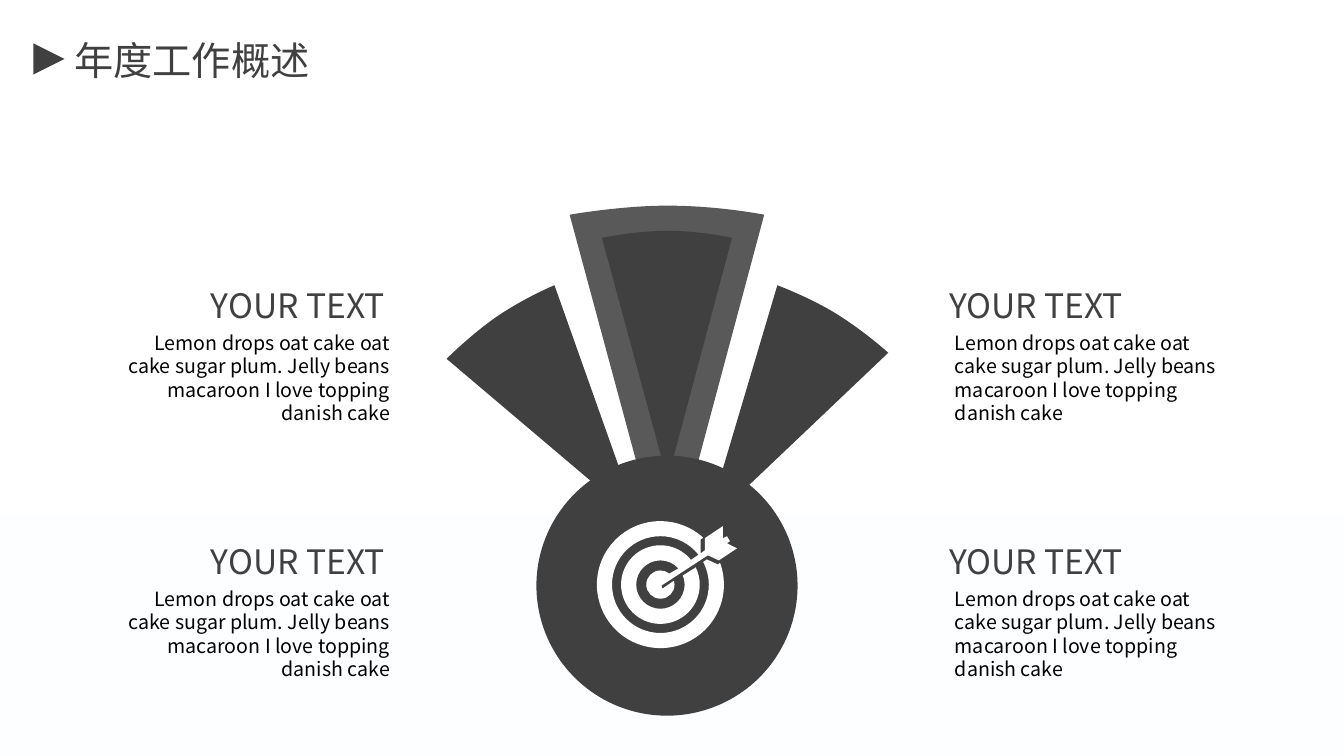
import copy
import math
import pptx
import pptx.util
import pptx.dml.color
import pptx.enum.shapes
import pptx.enum.text
import pptx.oxml
import pptx.oxml.ns

Inches = pptx.util.Inches
Pt = pptx.util.Pt
qn = pptx.oxml.ns.qn
MSO_SHAPE = pptx.enum.shapes.MSO_SHAPE
MSO_AUTO_SIZE = pptx.enum.text.MSO_AUTO_SIZE
PP_ALIGN = pptx.enum.text.PP_ALIGN
FONT = "Noto Sans CJK SC"
NS = pptx.oxml.ns.nsdecls("a")
DARK = "404040"


def paint(sp, color):
    sp.shadow.inherit = False
    sp.fill.solid()
    sp.fill.fore_color.rgb = pptx.dml.color.RGBColor.from_string(color)
    sp.line.fill.background()


def add_text(box, text, size, color, align, frame, spacing=None):
    sp = s.shapes.add_textbox(*[Inches(v) for v in box])
    tf = sp.text_frame
    tf.word_wrap = True
    for name, value in frame.items():
        setattr(tf, name, value)
    p = tf.paragraphs[0]
    for name, value in {"alignment": align, "line_spacing": spacing}.items():
        setattr(p, name, value)
    r = p.add_run()
    r.text = text
    for name, value in {"name": FONT, "size": Pt(size)}.items():
        setattr(r.font, name, value)
    r.font.color.rgb = pptx.dml.color.RGBColor.from_string(color)
    ea = pptx.oxml.parse_xml(f'<a:ea {NS} typeface="{FONT}"/>')
    r.font._element.find(qn("a:latin")).addnext(ea)


prs = pptx.Presentation()
prs.slide_width = Inches(13.33)
prs.slide_height = Inches(7.5)
s = prs.slides.add_slide(prs.slide_layouts[6])

bg = s.background.fill
bg.gradient()
bg.gradient_angle = 270
stops = s.element.find(".//" + qn("a:gsLst"))
for _ in range(2):
    stops.append(copy.deepcopy(stops[0]))
bg_colors = [(0.15, "FFFFFF"), (0.41, "FFFFFF"), (0.68, "FDFEFF"), (1, "FCFDFF")]
for stop, (position, color) in zip(bg.gradient_stops, bg_colors):
    stop.position = position
    stop.color.rgb = pptx.dml.color.RGBColor.from_string(color)

sp = s.shapes.add_shape(MSO_SHAPE.ISOSCELES_TRIANGLE,
                        Inches(0.33), Inches(0.43), Inches(0.31), Inches(0.31))
sp.rotation = 90
paint(sp, DARK)
grow = {"auto_size": MSO_AUTO_SIZE.SHAPE_TO_FIT_TEXT}
add_text((0.64, 0.31, 3.82, 0.57), "年度工作概述", 28, DARK, PP_ALIGN.LEFT, grow)

wedges = [
    ((6.33, 5.17), (4.43, 3.56), (4.67, 3.32), (4.93, 3.14), (5.21, 2.95), (5.5, 2.83), DARK),
    ((7, 5.22), (7.71, 2.83), (8.03, 2.95), (8.29, 3.11), (8.58, 3.29), (8.81, 3.5), DARK),
    ((6.62, 5.72), (5.65, 2.13), (6.16, 2.04), (6.62, 2.04), (7.13, 2.04), (7.58, 2.13), "595959"),
    ((6.62, 4.76), (5.97, 2.36), (6.31, 2.29), (6.62, 2.29), (6.95, 2.29), (7.26, 2.36), DARK),
]
outlines = []
for apex, left, bend_left, mid, bend_right, right, color in wedges:
    steps = [[apex], [left], [left, bend_left, mid], [bend_right, right, right]]
    outlines.append((steps, color))

target_x, target_y = 6.55, 5.8
target_parts = [
    [(7.12, 5.6), (7.01, 5.55), (6.97, 5.58)],
    (0.48, [-28, 0, 90, 180, 270, 322]),
    (0.39, [-39, -90, -180, -270, -360, -386]),
    (0.24, [-22, 0, 90, 180, 270, 318]),
    (0.14, [-51, -90, -180, -270, -360, -376]),
    [(6.57, 5.84), (6.56, 5.81), (7.02, 5.51), (7.13, 5.56), (7.31, 5.44),
     (7.21, 5.39), (7.24, 5.37), (7.21, 5.32), (7.17, 5.34), (7.17, 5.22),
     (6.99, 5.34), (6.99, 5.46), (6.95, 5.49), (6.95, 5.35), (6.97, 5.34)],
    (0.63, [-48, -90, -180, -270, -360, -380]),
]
target = []
for part in target_parts:
    if isinstance(part, list):
        target += [[point] for point in part]
        continue
    radius, degrees = part
    angles = [math.radians(d) for d in degrees]
    target.append([(target_x + radius * math.cos(angles[0]),
                    target_y + radius * math.sin(angles[0]))])
    for a, b in zip(angles, angles[1:]):
        k = 4 / 3 * math.tan((b - a) / 4)
        curve = [(math.cos(a) - k * math.sin(a), math.sin(a) + k * math.cos(a)),
                 (math.cos(b) + k * math.sin(b), math.sin(b) - k * math.cos(b)),
                 (math.cos(b), math.sin(b))]
        target.append([(target_x + radius * x, target_y + radius * y)
                       for x, y in curve])
outlines.append((target, "FFFFFF"))

for steps, color in outlines:
    if steps is target:
        sp = s.shapes.add_shape(MSO_SHAPE.OVAL, Inches(5.32), Inches(4.52),
                                Inches(2.59), Inches(2.58))
        paint(sp, DARK)
    points = [(Inches(x), Inches(y)) for step in steps for x, y in step]
    fb = s.shapes.build_freeform(*points[0])
    fb.add_line_segments(points[1:], close=True)
    sp = fb.convert_to_shape()
    paint(sp, color)
    lines = iter(sp._element.findall(".//" + qn("a:lnTo")))
    for step in steps[1:]:
        group = [next(lines) for _ in step]
        if len(group) == 3:
            bezier = pptx.oxml.parse_xml(f"<a:cubicBezTo {NS}/>")
            group[0].addprevious(bezier)
            for line in group:
                bezier.append(line[0])
                line.getparent().remove(line)

body = ("Lemon drops oat cake oat cake sugar plum. "
        "Jelly beans macaroon I love topping danish cake")
no_inset = dict.fromkeys(
    ["margin_left", "margin_right", "margin_top", "margin_bottom"], 0)
columns = [(1.71, 1.26, " YOUR TEXT ", PP_ALIGN.RIGHT),
           (9.24, 9.47, " YOUR TEXT", PP_ALIGN.LEFT)]
for head_x, body_x, heading, align in columns:
    for top in (2.78, 5.32):
        add_text((head_x, top, 2.28, 0.5), heading, 24, DARK, align, grow)
        add_text((body_x, top + 0.5, 2.61, 0.98), body, 14, "000000", align,
                 no_inset, Pt(16.8))

prs.save("out.pptx")
